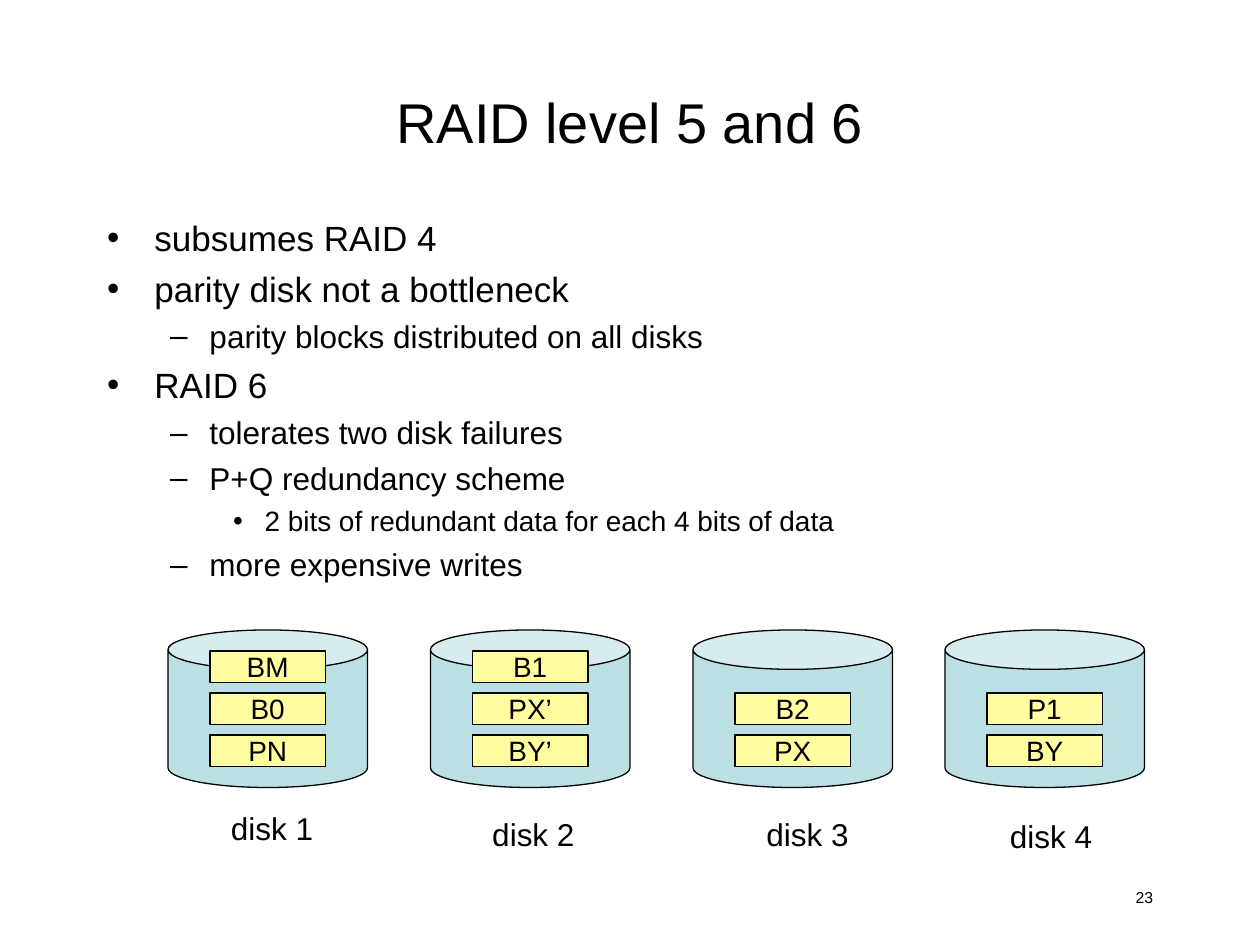
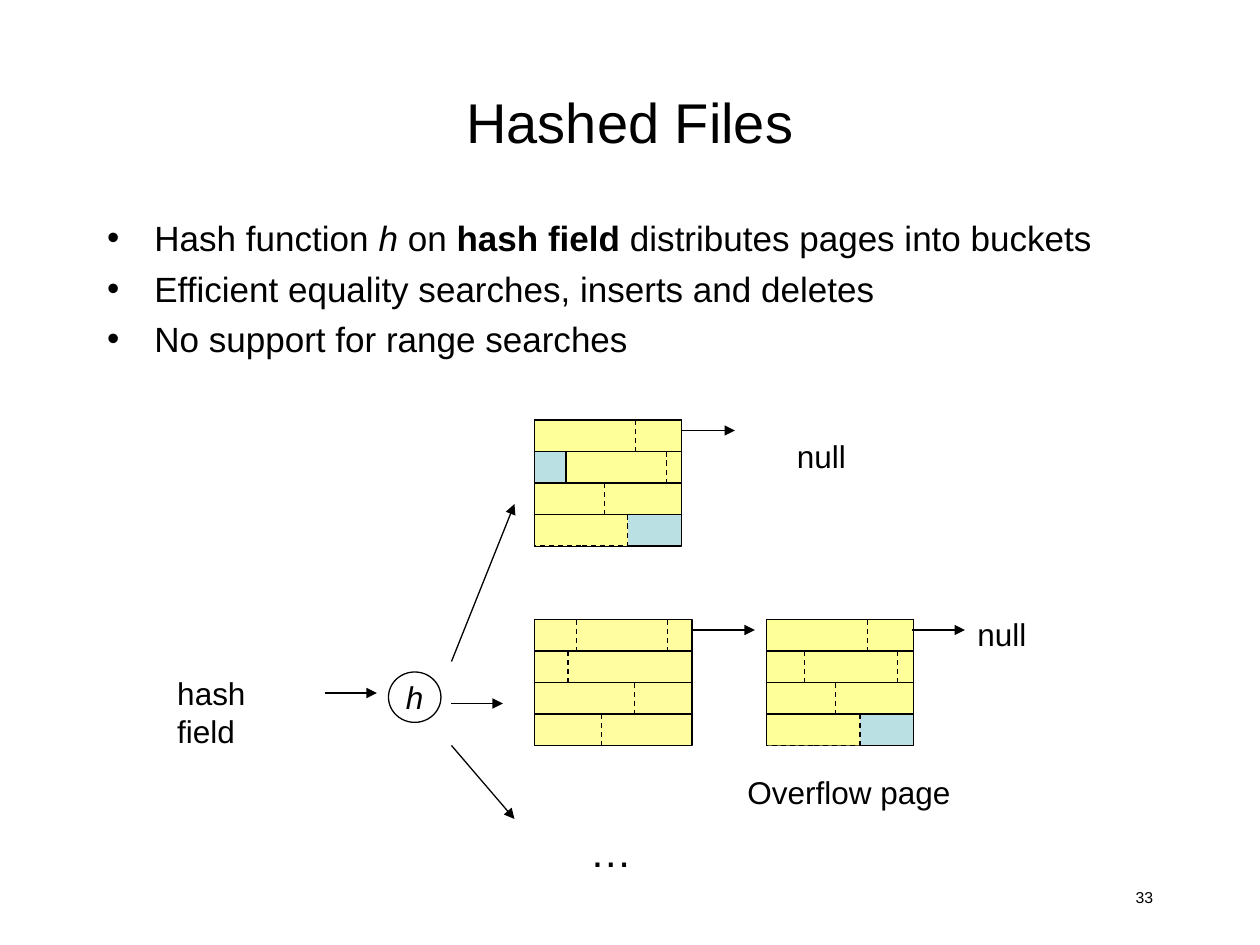
"""Build two lecture slides: RAID levels 5 and 6, and hashed files."""
from typing import Any, NamedTuple, Optional

import lxml.etree
import pptx
import pptx.dml.color
import pptx.enum.dml
import pptx.enum.shapes
import pptx.enum.text
import pptx.oxml.ns
import pptx.util

RGBColor = pptx.dml.color.RGBColor
Align = pptx.enum.text.PP_ALIGN
Anchor = pptx.enum.text.MSO_ANCHOR
Fit = pptx.enum.text.MSO_AUTO_SIZE
Kind = pptx.enum.shapes.MSO_SHAPE

BLACK = RGBColor(0x00, 0x00, 0x00)
BLUE = RGBColor(0xBB, 0xE0, 0xE3)
CREAM = RGBColor(0xFF, 0xFD, 0xA0)
YELLOW = RGBColor(0xFF, 0xFF, 0x99)

PX = 7620
FONT = "Arial"
SIZES = (20, 18, 16)
ROW = 30
ROWS = 4


class Item(NamedTuple):
    level: int
    runs: tuple[tuple[str, dict[str, bool]], ...]


class Disk(NamedTuple):
    left: int
    blocks: tuple[str, ...]
    tag_left: int
    tag_top: int


class Bar(NamedTuple):
    left: int
    row: int
    wide: int
    dash: bool = False


class Page(NamedTuple):
    left: int
    top: int
    wide: int
    fill: RGBColor
    bars: tuple[Bar, ...]
    cuts: tuple[tuple[int, int], ...]


class Label(NamedTuple):
    text: str
    left: int
    top: int
    wide: int
    high: int = 48
    size: int = 18
    wrap: bool = False


def item(text: str, level: int = 0) -> Item:
    return Item(level, ((text, {}),))


RAID = (
    item("subsumes RAID 4"),
    item("parity disk not a bottleneck"),
    item("parity blocks distributed on all disks", 1),
    item("RAID 6"),
    item("tolerates two disk failures", 1),
    item("P+Q redundancy scheme", 1),
    item("2 bits of redundant data for each 4 bits of data", 2),
    item("more expensive writes", 1),
)
HASH = (
    Item(0, (
        ("Hash function ", {}),
        ("h ", {"italic": True}),
        ("on ", {}),
        ("hash field", {"bold": True}),
        (" distributes pages into buckets", {}),
    )),
    item("Efficient equality searches, inserts and deletes"),
    item("No support for range searches"),
)
DISKS = (
    Disk(160, ("BM", "B0", "PN"), 208, 765),
    Disk(410, ("B1", "PX’", "BY’"), 457, 770),
    Disk(660, ("", "B2", "PX"), 718, 770),
    Disk(900, ("", "P1", "BY"), 950, 772),
)
PAGES = (
    Page(509, 400, 140, BLUE,
         (Bar(0, 0, 140), Bar(30, 1, 110), Bar(0, 3, 89, True), Bar(0, 2, 140)),
         ((96, 0), (126, 1), (67, 2))),
    Page(509, 590, 150, CREAM, (),
         ((40, 0), (127, 0), (32, 1), (95, 2), (64, 3))),
    Page(730, 590, 140, BLUE,
         (Bar(0, 0, 140), Bar(0, 1, 140), Bar(0, 3, 89, True), Bar(0, 2, 140)),
         ((96, 0), (36, 1), (125, 1), (66, 2))),
)
ARROWS = (
    (310, 660, 359, 660),
    (430, 630, 490, 480),
    (430, 670, 479, 670),
    (430, 710, 490, 780),
    (649, 410, 700, 410),
    (659, 600, 719, 600),
    (869, 600, 919, 600),
)
LABELS = (
    Label("null", 747, 410, 71),
    Label("hash field", 157, 636, 152),
    Label("…", 550, 780, 64, 60, 24),
    Label("null", 919, 580, 71),
    Label("Overflow page", 700, 730, 238, wrap=True),
)


def scale(*sides: int) -> list[pptx.util.Emu]:
    return [pptx.util.Emu(side * PX) for side in sides]


def write(para: Any, text: str, *, size: int = 18, bold: bool = False,
          italic: bool = False, align: Optional[Align] = None) -> None:
    if align is not None:
        para.alignment = align
    run = para.add_run()
    run.text = text
    font = run.font
    font.name, font.size = FONT, pptx.util.Pt(size)
    font.bold, font.italic = bold, italic
    font.color.rgb = BLACK


def place(shape: Any, *box: int) -> Any:
    shape.left, shape.top, shape.width, shape.height = scale(*box)
    frame = shape.text_frame
    frame.word_wrap, frame.auto_size = True, Fit.NONE
    return frame


def stroke(line: Any, dash: bool = False) -> None:
    line.color.rgb = BLACK
    line.width = pptx.util.Pt(0.75)
    if dash:
        line.dash_style = pptx.enum.dml.MSO_LINE.DASH


def draw(slide: Any, kind: Kind, *box: int, fill: Optional[RGBColor] = None,
         dash: bool = False, text: str = "", **style: Any) -> None:
    shape = slide.shapes.add_shape(kind, *scale(*box))
    shape.shadow.inherit = False
    if fill is None:
        shape.fill.background()
    else:
        shape.fill.solid()
        shape.fill.fore_color.rgb = fill
    stroke(shape.line, dash)
    if text:
        frame = shape.text_frame
        frame.word_wrap = False
        frame.vertical_anchor = Anchor.MIDDLE
        write(frame.paragraphs[0], text, align=Align.CENTER, **style)


def link(slide: Any, *ends: int, dash: bool = False, head: bool = False) -> None:
    straight = pptx.enum.shapes.MSO_CONNECTOR.STRAIGHT
    line = slide.shapes.add_connector(straight, *scale(*ends))
    stroke(line.line, dash)
    if head:
        tail = lxml.etree.SubElement(line.line._get_or_add_ln(),
                                     pptx.oxml.ns.qn("a:tailEnd"))
        tail.set("type", "triangle")
    lxml.etree.SubElement(line._element.spPr, pptx.oxml.ns.qn("a:effectLst"))


def tag(slide: Any, label: Label) -> None:
    box = scale(label.left, label.top, label.wide, label.high)
    frame = slide.shapes.add_textbox(*box).text_frame
    frame.word_wrap = label.wrap
    frame.auto_size = Fit.SHAPE_TO_FIT_TEXT
    write(frame.paragraphs[0], label.text, size=label.size)


def start(deck: Any, title: str, items: tuple[Item, ...], number: int) -> Any:
    slide = deck.slides.add_slide(deck.slide_layouts[1])
    head = place(slide.shapes.title, 90, 40, 1020, 150)
    head.vertical_anchor = Anchor.MIDDLE
    write(head.paragraphs[0], title, size=32, align=Align.CENTER)

    body = place(slide.placeholders[1], 90, 200, 1020, 620)
    for index, entry in enumerate(items):
        para = body.add_paragraph() if index else body.paragraphs[0]
        size = SIZES[entry.level]
        para.level = entry.level
        para.space_before = pptx.util.Pt(size / 4 if index else 0)
        for text, style in entry.runs:
            write(para, text, size=size, **style)

    box = (860, 840, 250, 40)
    foot = place(slide.shapes.add_textbox(*scale(*box)), *box)
    write(foot.paragraphs[0], str(number), size=9, align=Align.RIGHT)
    return slide


def store(slide: Any, disk: Disk, number: int) -> None:
    draw(slide, Kind.CAN, disk.left, 600, 190, 150, fill=BLUE)
    for row, text in enumerate(disk.blocks):
        if text:
            draw(slide, Kind.RECTANGLE, disk.left + 40, 620 + 40 * row, 110, ROW,
                 fill=CREAM, text=text, size=16)
    tag(slide, Label(f"disk {number}", disk.tag_left, disk.tag_top, 102))


def stack(slide: Any, page: Page) -> None:
    left, top, wide = page.left, page.top, page.wide
    tops = [top + ROW * row for row in range(ROWS)]
    draw(slide, Kind.RECTANGLE, left, top, wide, ROW * ROWS, fill=page.fill)
    for bar in page.bars:
        draw(slide, Kind.RECTANGLE, left + bar.left, tops[bar.row], bar.wide, ROW,
             fill=YELLOW, dash=bar.dash)
    if page.bars:
        link(slide, left, tops[-1], left, tops[-1] + ROW)
    else:
        for y in tops[1:]:
            link(slide, left, y, left + wide, y)
    for cut, row in page.cuts:
        x = left + cut
        link(slide, x, tops[row], x, tops[row] + ROW, dash=True)


def main() -> None:
    deck = pptx.Presentation()
    deck.slide_width, deck.slide_height = scale(1200, 900)

    slide = start(deck, "RAID level 5 and 6", RAID, 23)
    for number, disk in enumerate(DISKS, 1):
        store(slide, disk, number)

    slide = start(deck, "Hashed Files", HASH, 33)
    for page in PAGES:
        stack(slide, page)
    draw(slide, Kind.OVAL, 370, 640, 50, 48, text="h", italic=True)
    for ends in ARROWS:
        link(slide, *ends, head=True)
    for label in LABELS:
        tag(slide, label)

    deck.save("out.pptx")


if __name__ == "__main__":
    main()
